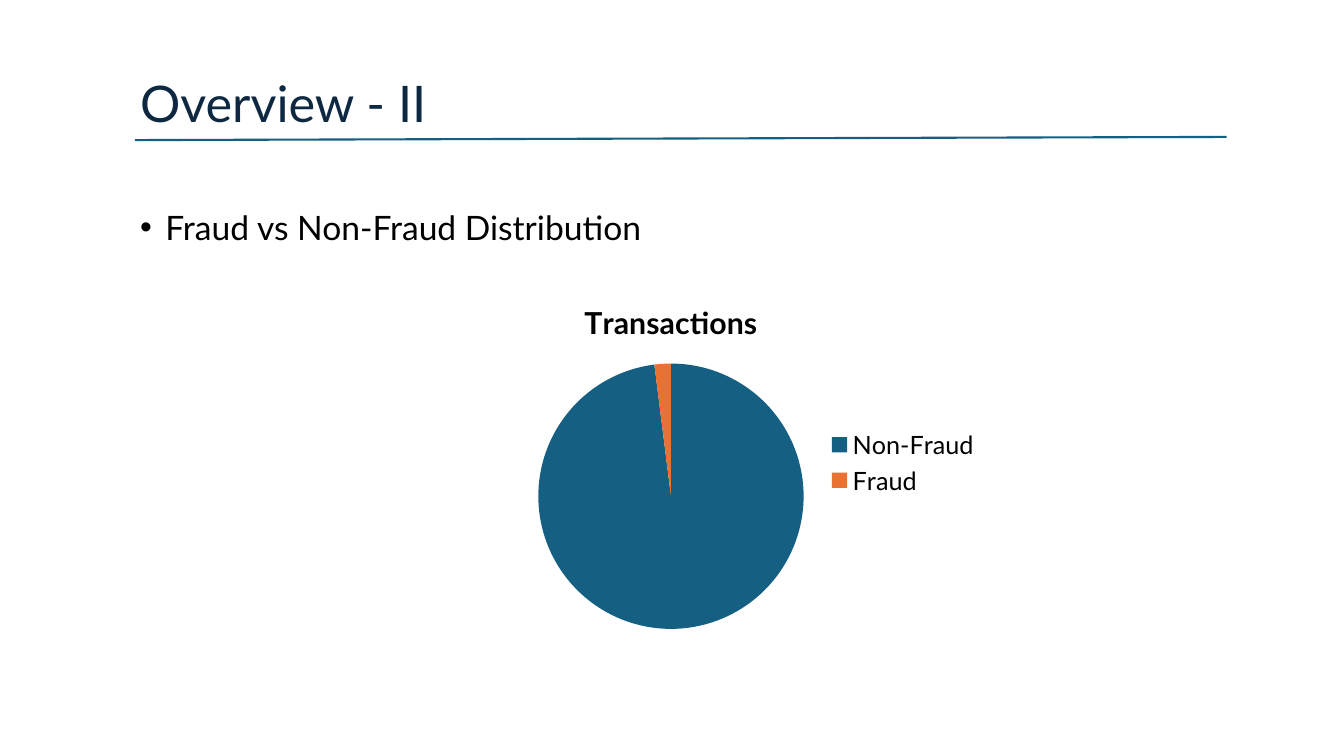
import lxml.etree
import pptx
import pptx.chart.data
import pptx.dml.color
import pptx.enum.chart
import pptx.enum.shapes
import pptx.enum.text
import pptx.oxml.ns
import pptx.util
from pptx.util import Cm

FONT = "Lato"
NAVY = "0E2841"
BLUE = "156082"
ORANGE = "E97132"
BLACK = "000000"


def color(value):
    return pptx.dml.color.RGBColor.from_string(value)


def add_child(parent, tag, **attributes):
    return lxml.etree.SubElement(parent, pptx.oxml.ns.qn(tag), attributes)


def set_font(font, size, fill, bold=False):
    font.name = FONT
    font.size = pptx.util.Pt(size)
    font.bold = bold
    font.color.rgb = color(fill)


def add_text(page, text, box, size, fill, spacing, anchor="TOP", indent=None):
    frame = page.shapes.add_textbox(*box).text_frame
    frame.word_wrap = True
    frame.vertical_anchor = pptx.enum.text.MSO_ANCHOR[anchor]
    para = frame.paragraphs[0]
    para.line_spacing = spacing
    if indent:
        properties = para._p.get_or_add_pPr()
        properties.set("marL", str(indent))
        properties.set("indent", str(-indent))
        add_child(properties, "a:buFont", typeface="Arial")
        add_child(properties, "a:buChar", char="•")
    span = para.add_run()
    span.text = text
    set_font(span.font, size, fill)


def add_heading(page, text, left, top, width, height):
    add_text(page, text, (left, top, width, height), 36, NAVY, 0.9, anchor="BOTTOM")
    bottom = top + height
    rule = page.shapes.add_connector(
        pptx.enum.shapes.MSO_CONNECTOR.STRAIGHT,
        left + Cm(0.12), bottom + Cm(0.03),
        left + width + Cm(0.33), bottom - Cm(0.05),
    )
    rule.line.color.rgb = color(BLUE)
    rule.line.width = pptx.util.Pt(1.5)
    add_child(rule._element.spPr, "a:effectLst")


def add_transactions_chart(page, left, top, width, height):
    shares = {"Non-Fraud": (98, BLUE), "Fraud": (2, ORANGE)}
    data = pptx.chart.data.CategoryChartData()
    data.categories = list(shares)
    data.add_series("Transactions", [value for value, fill in shares.values()])
    chart = page.shapes.add_chart(
        pptx.enum.chart.XL_CHART_TYPE.PIE, left, top, width, height, data
    ).chart
    set_font(chart.font, 18, BLACK)

    chart.has_title = True
    title = chart.chart_title.text_frame
    title.text = "Transactions"
    set_font(title.paragraphs[0].runs[0].font, 21.6, BLACK, bold=True)

    chart.has_legend = True
    chart.legend.position = pptx.enum.chart.XL_LEGEND_POSITION.RIGHT
    chart.legend.include_in_layout = True

    pie = chart.plots[0]
    pie.vary_by_categories = True
    for index, (value, fill) in enumerate(shares.values()):
        slice_fill = pie.series[0].points[index].format.fill
        slice_fill.solid()
        slice_fill.fore_color.rgb = color(fill)


def add_overview(page, left, top, width):
    add_heading(page, "Overview - II", left, top, width, Cm(2))
    body = (left, top + Cm(2.97), width, Cm(13.08))
    add_text(page, "Fraud vs Non-Fraud Distribution", body, 24, BLACK, 1.6,
             indent=Cm(0.64))
    add_transactions_chart(page, left + Cm(5.58), top + Cm(5.61), Cm(16.1), Cm(9.09))


def main():
    deck = pptx.Presentation()
    deck.slide_width = Cm(33.87)
    deck.slide_height = Cm(19.05)
    page = deck.slides.add_slide(deck.slide_layouts[6])
    add_overview(page, Cm(3.28), Cm(1.5), Cm(27.3))
    deck.save("out.pptx")


if __name__ == "__main__":
    main()
